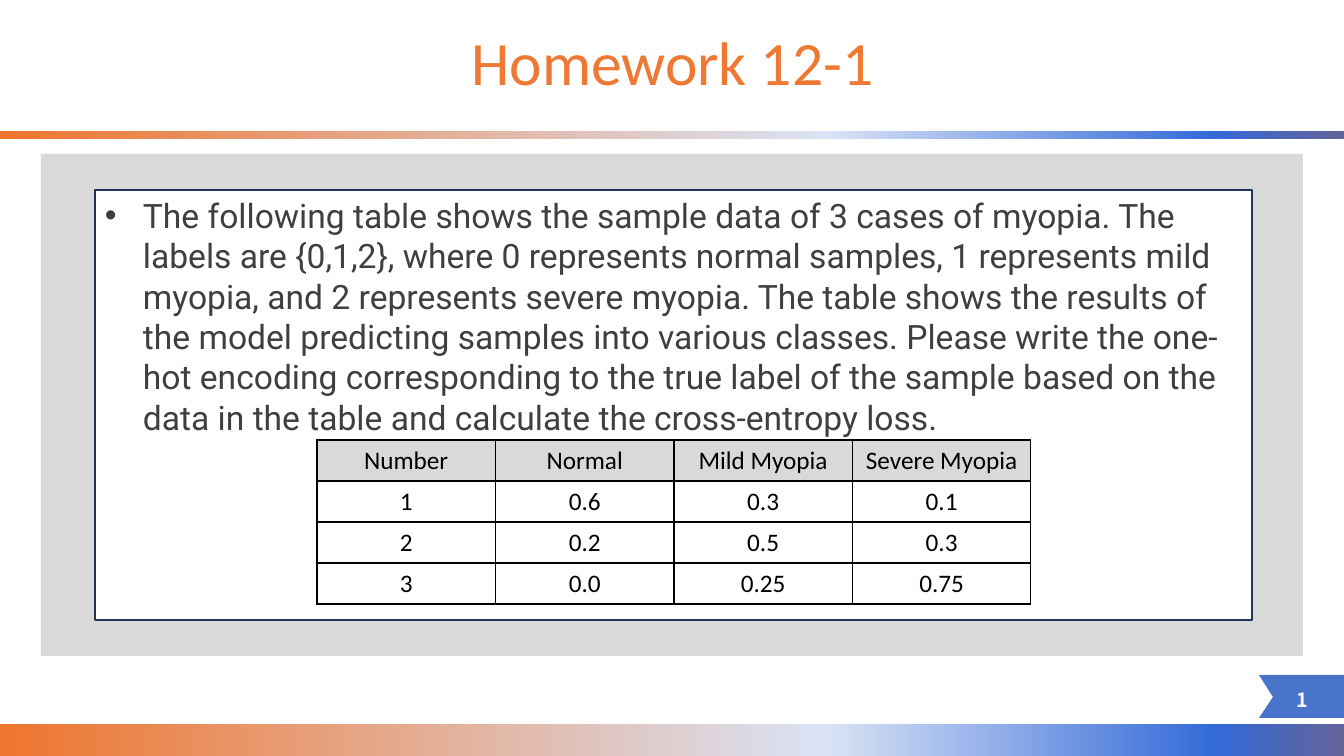
"""Builds the Homework 12-1 slide on the one-hot encoding of myopia samples."""

from dataclasses import dataclass

from lxml.etree import SubElement
from pptx import Presentation
from pptx.dml.color import RGBColor
from pptx.enum.text import MSO_ANCHOR, PP_ALIGN
from pptx.enum.shapes import MSO_SHAPE
from pptx.oxml.ns import qn
from pptx.shapes.autoshape import Shape
from pptx.slide import Slide
from pptx.table import _Cell
from pptx.text.text import TextFrame
from pptx.util import Emu, Pt

SCALE = 914400 / 100.8


@dataclass(frozen=True)
class Theme:
    orange: str = "EE752E"
    title: str = "EE7934"
    pale: str = "DAE3F5"
    blue: str = "336AD8"
    violet: str = "636399"
    badge: str = "4874CB"
    badge_text: str = "F8F8F8"
    grey: str = "D9D9D9"
    white: str = "FFFFFF"
    frame: str = "203359"
    body: str = "3C4043"
    black: str = "000000"
    title_size: int = 44
    body_size: int = 24
    table_size: int = 18
    badge_size: int = 14


THEME = Theme()


@dataclass(frozen=True)
class Area:
    left: int
    top: int
    width: int
    height: int

    def emu(self) -> tuple[Emu, ...]:
        return tuple(px(n) for n in (self.left, self.top, self.width, self.height))


@dataclass(frozen=True)
class Style:
    font: str
    size: int
    color: str
    bold: bool = False
    align: PP_ALIGN = PP_ALIGN.CENTER
    spacing: float = 1.0


@dataclass(frozen=True)
class Band:
    top: int
    height: int


@dataclass(frozen=True)
class Gradient:
    left: int
    width: int
    stops: tuple[tuple[int, str], ...]


BANDS = (Band(724, 32), Band(131, 8))
GRADIENTS = (
    Gradient(0, 827, ((0, THEME.pale), (100, THEME.orange))),
    Gradient(827, 517, ((0, THEME.violet), (25, THEME.blue), (100, THEME.pale))),
)
BADGE_POINTS = ((1259, 718), (1273, 697), (1259, 675), (1344, 675), (1344, 718))
TITLE_STYLE = Style("Calibri", THEME.title_size, THEME.title, spacing=0.9)
BODY_STYLE = Style("Roboto", THEME.body_size, THEME.body, align=PP_ALIGN.LEFT)
TABLE_STYLE = Style("Calibri", THEME.table_size, THEME.black)
BADGE_STYLE = Style("Noto Sans CJK SC", THEME.badge_size, THEME.badge_text, bold=True)
QUESTION = (
    "The following table shows the sample data of 3 cases of myopia. The labels are {0,1,2}, "
    "where 0 represents normal samples, 1 represents mild myopia, and 2 represents severe "
    "myopia. The table shows the results of the model predicting samples into various classes. "
    "Please write the one-hot encoding corresponding to the true label of the sample based on "
    "the data in the table and calculate the cross-entropy loss."
)
PREDICTIONS = (
    ("Number", "Normal", "Mild Myopia", "Severe Myopia"),
    ("1", "0.6", "0.3", "0.1"),
    ("2", "0.2", "0.5", "0.3"),
    ("3", "0.0", "0.25", "0.75"),
)


def px(length: int) -> Emu:
    return Emu(round(length * SCALE))


def write(frame: TextFrame, text: str, style: Style) -> None:
    frame.word_wrap = True
    para = frame.paragraphs[0]
    para.alignment = style.align
    para.line_spacing = style.spacing
    span = para.add_run()
    span.text = text
    formats = {"name": style.font, "size": Pt(style.size), "bold": style.bold}
    for name, value in formats.items():
        setattr(span.font, name, value)
    span.font.color.rgb = RGBColor.from_string(style.color)


def paint(shape: Shape, color: str) -> None:
    shape.shadow.inherit = False
    shape.fill.solid()
    shape.fill.fore_color.rgb = RGBColor.from_string(color)
    shape.line.fill.background()


def add_box(page: Slide, area: Area, color: str) -> Shape:
    box = page.shapes.add_shape(MSO_SHAPE.RECTANGLE, *area.emu())
    paint(box, color)
    return box


def add_label(page: Slide, area: Area, text: str, style: Style, anchor: MSO_ANCHOR) -> None:
    label = page.shapes.add_textbox(*area.emu())
    label.text_frame.vertical_anchor = anchor
    write(label.text_frame, text, style)


def add_gradient(page: Slide, band: Band, gradient: Gradient) -> None:
    box = add_box(page, Area(gradient.left, band.top, gradient.width, band.height), THEME.pale)
    box.fill.gradient()
    box.fill.gradient_angle = 180
    stop_list = box._element.spPr.find(qn("a:gradFill")).find(qn("a:gsLst"))
    for old_stop in list(stop_list):
        stop_list.remove(old_stop)
    for position, color in gradient.stops:
        stop = SubElement(stop_list, qn("a:gs"), pos=str(position * 1000))
        SubElement(stop, qn("a:srgbClr"), val=color)


def add_badge(page: Slide) -> None:
    builder = page.shapes.build_freeform(*BADGE_POINTS[0], scale=SCALE)
    builder.add_line_segments(BADGE_POINTS[1:], close=True)
    paint(builder.convert_to_shape(), THEME.badge)
    add_label(page, Area(1267, 683, 70, 34), "1", BADGE_STYLE, MSO_ANCHOR.TOP)


def add_question(page: Slide) -> None:
    box = add_box(page, Area(95, 190, 1157, 430), THEME.white)
    box.line.color.rgb = RGBColor.from_string(THEME.frame)
    box.line.width = Pt(1)
    box.text_frame.vertical_anchor = MSO_ANCHOR.TOP
    write(box.text_frame, QUESTION, BODY_STYLE)
    properties = box.text_frame.paragraphs[0]._p.get_or_add_pPr()
    for name, value in {"marL": px(38), "indent": -px(38)}.items():
        properties.set(name, str(value))
    SubElement(properties, qn("a:buFont"), typeface="Arial")
    SubElement(properties, qn("a:buChar"), char="•")


def add_borders(cell: _Cell) -> None:
    properties = cell._tc.get_or_add_tcPr()
    for side in ("lnL", "lnR", "lnT", "lnB"):
        border = SubElement(properties, qn(f"a:{side}"), w=str(Pt(1)))
        fill = SubElement(border, qn("a:solidFill"))
        SubElement(fill, qn("a:srgbClr"), val=THEME.black)


def add_predictions(page: Slide) -> None:
    area = Area(317, 440, 714, 164)
    table = page.shapes.add_table(len(PREDICTIONS), len(PREDICTIONS[0]), *area.emu()).table
    for name in ("first_row", "horz_banding"):
        setattr(table, name, False)
    for row, values in enumerate(PREDICTIONS):
        for column, value in enumerate(values):
            cell = table.cell(row, column)
            write(cell.text_frame, value, TABLE_STYLE)
            add_borders(cell)
            cell.fill.solid()
            color = THEME.white if row else THEME.grey
            cell.fill.fore_color.rgb = RGBColor.from_string(color)


def main() -> None:
    deck = Presentation()
    deck.slide_width, deck.slide_height = px(1344), px(756)
    page = deck.slides.add_slide(deck.slide_layouts[6])
    for band in BANDS:
        for gradient in GRADIENTS:
            add_gradient(page, band, gradient)
    add_badge(page)
    add_box(page, Area(41, 154, 1262, 502), THEME.grey)
    add_label(page, Area(93, 8, 1159, 116), "Homework 12-1", TITLE_STYLE, MSO_ANCHOR.MIDDLE)
    add_question(page)
    add_predictions(page)
    deck.save("out.pptx")


if __name__ == "__main__":
    main()
